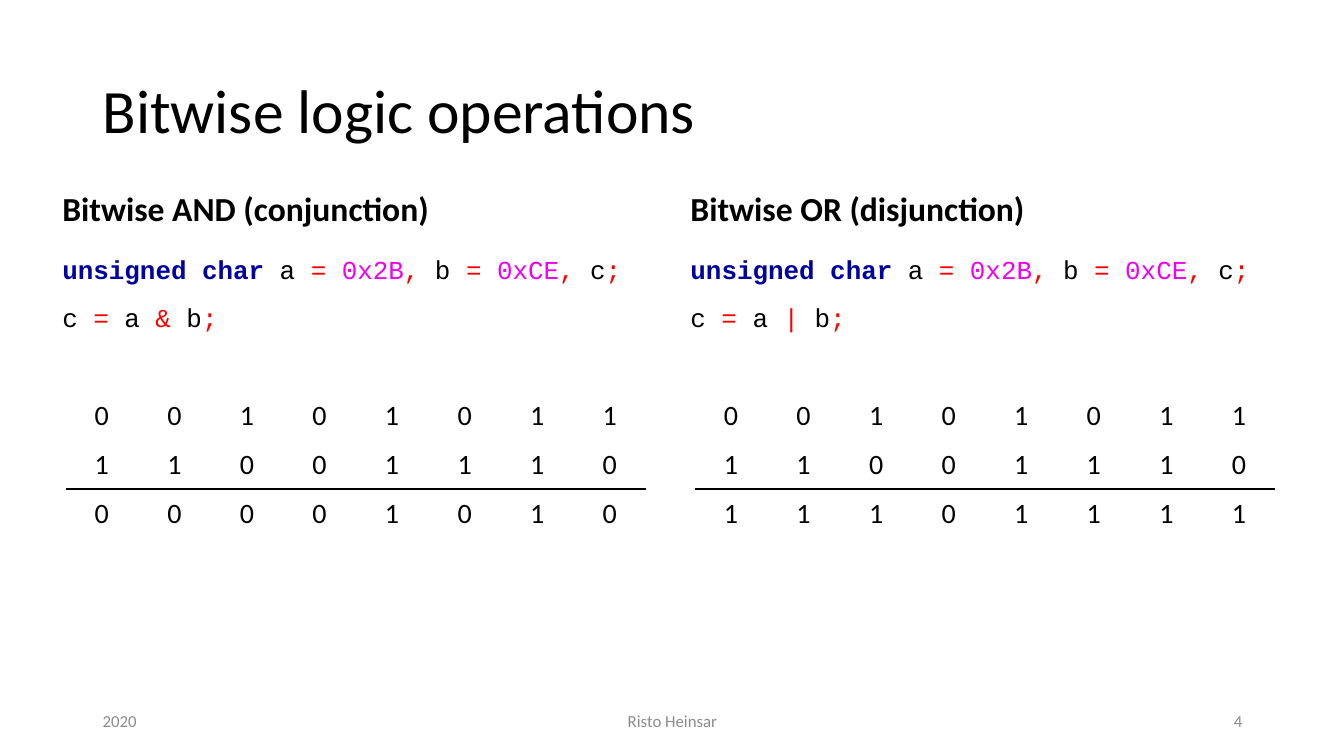
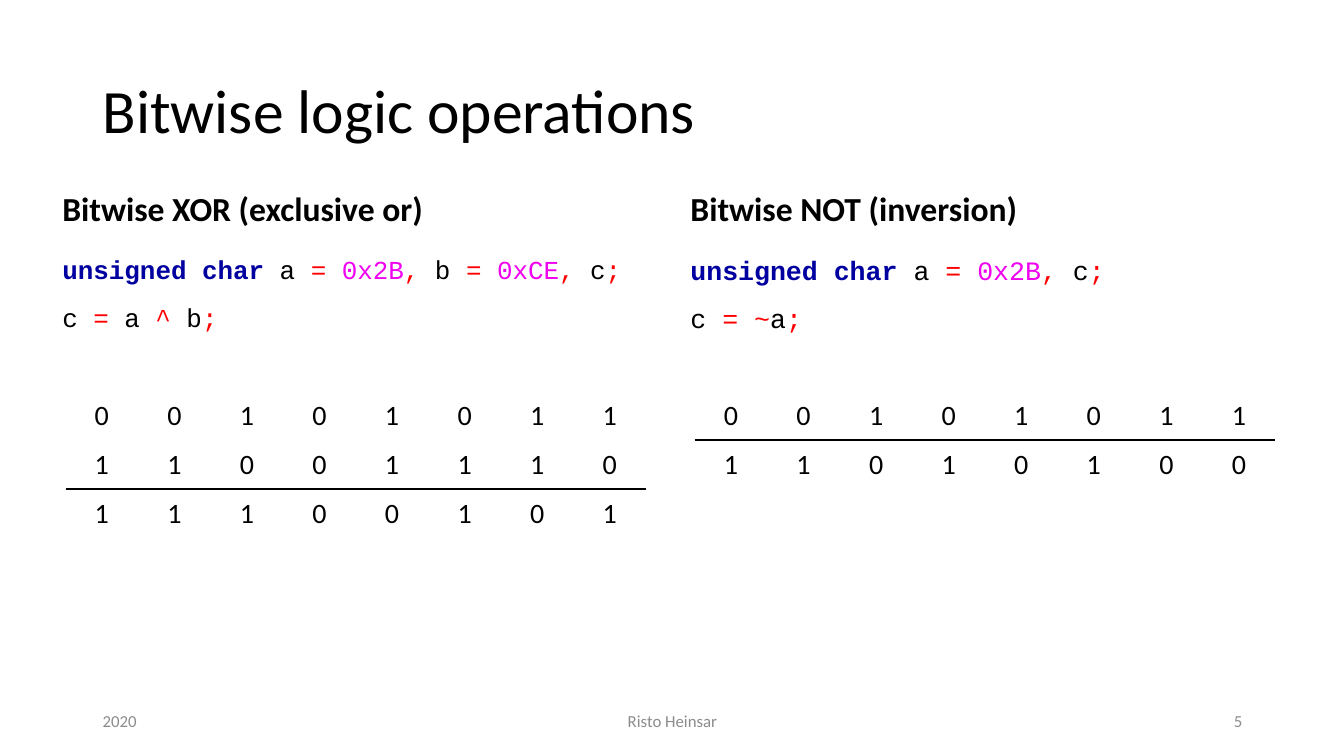
"""Build two slides on bitwise logic operations, each with two worked examples."""
from pptx import Presentation
from pptx.dml.color import RGBColor
from pptx.enum.text import MSO_ANCHOR, PP_ALIGN
from pptx.oxml import parse_xml
from pptx.oxml.ns import nsdecls, qn
from pptx.util import Inches, Pt

BLACK, GREY = "000000", "8C8C8C"
KEYWORD, NUMBER, SYMBOL = "0000A0", "F000F0", "FF0000"
SANS, MONO = "Calibri", "Courier New"
NO_GRID = "{2D5ABB26-0587-4C30-8999-92F81FD0307C}"
CELL, ROW_H = 0.72, 0.486

DECLARE_AB = ["unsigned char ", "a ", "= ", "0x2B", ", ", "b ", "= ", "0xCE", ", ", "c", ";"]
DECLARE_A = ["unsigned char ", "a ", "= ", "0x2B", ", ", "c", ";"]
A, B = "00101011", "11001110"

SLIDES = [
    (4, [
        ("Bitwise AND (conjunction)", 18.5, DECLARE_AB,
         ["c ", "= ", "a ", "& ", "b", ";"], [A, B, "00001010"]),
        ("Bitwise OR (disjunction)", 18.5, DECLARE_AB,
         ["c ", "= ", "a ", "| ", "b", ";"], [A, B, "11101111"]),
    ]),
    (5, [
        ("Bitwise XOR (exclusive or)", 18.5, DECLARE_AB,
         ["c ", "= ", "a ", "^ ", "b", ";"], [A, B, "11100101"]),
        ("Bitwise NOT (inversion)", 19, DECLARE_A,
         ["c ", "= ~", "a", ";"], [A, "11010100"]),
    ]),
]
COLUMNS = [(0.52, 6.04, 0.65), (6.75, 5.67, 6.89)]


def add_run(p, text, size, color=BLACK, bold=False, font=SANS):
    """Append one formatted run to a paragraph."""
    r = p.add_run()
    r.text = text
    r.font.size = Pt(size)
    r.font.name = font
    r.font.bold = bold
    r.font.color.rgb = RGBColor.from_string(color)


def add_box(s, x, y, w, h, anchor=MSO_ANCHOR.MIDDLE):
    """Add a wrapping text box and return its text frame."""
    tf = s.shapes.add_textbox(Inches(x), Inches(y), Inches(w), Inches(h)).text_frame
    tf.word_wrap = True
    tf.vertical_anchor = anchor
    return tf


prs = Presentation()
prs.slide_width, prs.slide_height = Inches(13.33), Inches(7.5)

for number, examples in SLIDES:
    s = prs.slides.add_slide(prs.slide_layouts[6])
    p = add_box(s, 0.92, 0.4, 11.5, 1.45).paragraphs[0]
    p.line_spacing = 0.9
    add_run(p, "Bitwise logic operations", 44)

    for (x, head_w, table_x), (heading, size, *code, bits) in zip(COLUMNS, examples):
        p = add_box(s, x, 1.84, head_w, 0.48, MSO_ANCHOR.BOTTOM).paragraphs[0]
        p.line_spacing, p.space_before = 0.9, Pt(10)
        add_run(p, heading, 24, bold=True)

        tf = add_box(s, x, 2.45, 6.04, 1.09, MSO_ANCHOR.TOP)
        for i, tokens in enumerate(code):
            p = tf.add_paragraph() if i else tf.paragraphs[0]
            p.line_spacing, p.space_before = 1.07, Pt(10)
            for token in tokens:
                is_keyword = token.startswith("unsigned")
                if is_keyword:
                    color = KEYWORD
                elif token.startswith("0x"):
                    color = NUMBER
                else:
                    color = BLACK if token.strip().isalpha() else SYMBOL
                add_run(p, token, size, color, is_keyword, MONO)

        table = s.shapes.add_table(len(bits), 8, Inches(table_x), Inches(3.88),
                                   Inches(8 * CELL), Inches(len(bits) * ROW_H)).table
        table.first_row = table.horz_banding = False
        table._tbl.tblPr.find(qn("a:tableStyleId")).text = NO_GRID
        for row in table.rows:
            row.height = Inches(ROW_H)
        for column in table.columns:
            column.width = Inches(CELL)
        rule_sides = {len(bits) - 2: "lnB", len(bits) - 1: "lnT"}
        for i, word in enumerate(bits):
            for j, bit in enumerate(word):
                cell = table.cell(i, j)
                cell.fill.background()
                cell.vertical_anchor = MSO_ANCHOR.MIDDLE
                cell.margin_left = cell.margin_right = cell.margin_top = Inches(0.01)
                cell.margin_bottom = 0
                p = cell.text_frame.paragraphs[0]
                p.alignment = PP_ALIGN.CENTER
                add_run(p, bit, 20)
                if i in rule_sides:
                    side = rule_sides[i]
                    cell._tc.get_or_add_tcPr().insert(0, parse_xml(
                        f'<a:{side} {nsdecls("a")} w="{Pt(2.25)}"><a:solidFill>'
                        f'<a:srgbClr val="{BLACK}"/></a:solidFill></a:{side}>'))

    for text, x, w, align in [("2020", 0.92, 3, PP_ALIGN.LEFT),
                              ("Risto Heinsar", 4.42, 4.5, PP_ALIGN.CENTER),
                              (str(number), 9.42, 3, PP_ALIGN.RIGHT)]:
        p = add_box(s, x, 6.95, w, 0.4).paragraphs[0]
        p.alignment = align
        add_run(p, text, 12, GREY)

prs.save("out.pptx")
